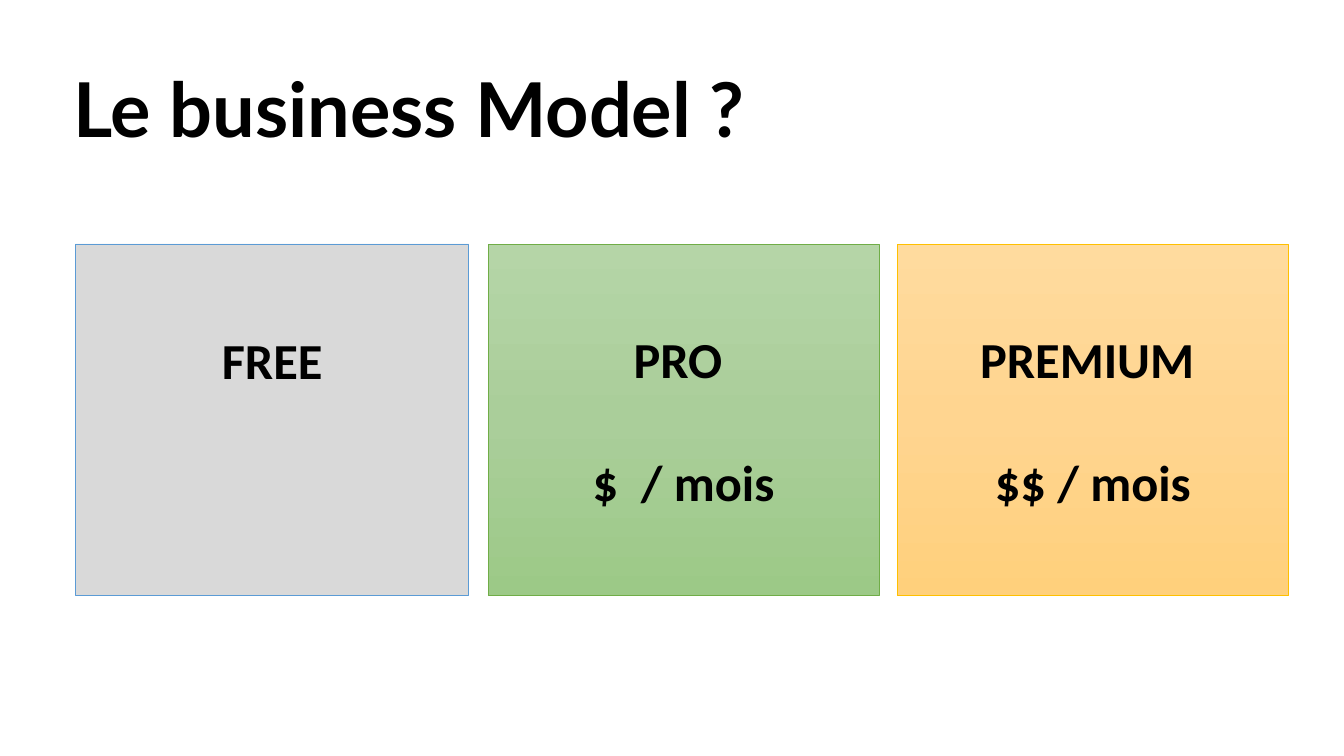
from copy import deepcopy

from pptx import Presentation
from pptx.dml.color import RGBColor
from pptx.enum.shapes import MSO_SHAPE
from pptx.enum.text import MSO_ANCHOR, PP_ALIGN
from pptx.util import Inches, Pt

RECT = MSO_SHAPE.RECTANGLE
MIDDLE = MSO_ANCHOR.MIDDLE
LEFT = PP_ALIGN.LEFT
CENTER = PP_ALIGN.CENTER
ONLY = 5


def color(code):
    return RGBColor.from_string(code)


class Deck:
    ink = "000000"
    head = "Lato"
    body = "Calibri"
    size = 36
    gap = 44

    def __init__(self, wide, high):
        self.prs = Presentation()
        self.prs.slide_width = Inches(wide)
        self.prs.slide_height = Inches(high)
        self.slide = self.prs.slides.add_slide(self.prs.slide_layouts[ONLY])

    def add_run(self, para, text, face, size):
        run = para.add_run()
        run.text = text
        run.font.name = face
        run.font.size = Pt(size)
        run.font.bold = True
        run.font.color.rgb = color(self.ink)

    def title(self, text, left, top, wide, high):
        box = self.slide.shapes.title
        box.left, box.top = Inches(left), Inches(top)
        box.width, box.height = Inches(wide), Inches(high)
        box.text_frame.vertical_anchor = MIDDLE
        para = box.text_frame.paragraphs[0]
        para.alignment = LEFT
        para.line_spacing = 0.9
        self.add_run(para, text, self.head, 54)

    def paint(self, card, tones):
        if len(tones) == 1:
            card.fill.solid()
            card.fill.fore_color.rgb = color(tones[0])
            return
        card.fill.gradient()
        card.fill.gradient_angle = 270
        first = card.element.xpath(".//a:gs")[0]
        first.addnext(deepcopy(first))
        for i, (stop, tone) in enumerate(zip(card.fill.gradient_stops, tones)):
            stop.position = i / 2
            stop.color.rgb = color(tone)

    def card(self, left, top, wide, high, lines, tones, edge):
        card = self.slide.shapes.add_shape(
            RECT, Inches(left), Inches(top), Inches(wide), Inches(high))
        card.shadow.inherit = False
        self.paint(card, tones)
        card.line.color.rgb = color(edge)
        card.line.width = Pt(0.5)
        frame = card.text_frame
        frame.word_wrap = True
        frame.vertical_anchor = MIDDLE
        if len(lines) == 1:
            frame.margin_bottom = Inches(1.25)
        for i, text in enumerate(lines):
            para = frame.add_paragraph() if i else frame.paragraphs[0]
            para.alignment = CENTER
            if i:
                para.space_before = Pt(self.gap)
            self.add_run(para, text, self.body, self.size)

    def save(self):
        self.prs.save("out.pptx")


def main():
    deck = Deck(13.33, 7.5)
    deck.title("Le business Model ?", 0.63, 0.4, 11.79, 1.45)
    plans = [
        (0.75, 3.9, ["FREE"], ["D9D9D9"], "5B9BD5"),
        (4.84, 3.88, ["PRO ", "$  / mois"],
         ["B5D5A7", "AACE9A", "9CC987"], "70AD47"),
        (8.9, 3.88, ["PREMIUM ", "$$ / mois"],
         ["FFDB9E", "FFD590", "FFD07C"], "FFC000"),
    ]
    for left, wide, lines, tones, edge in plans:
        deck.card(left, 2.42, wide, 3.49, lines, tones, edge)
    deck.save()


if __name__ == "__main__":
    main()
